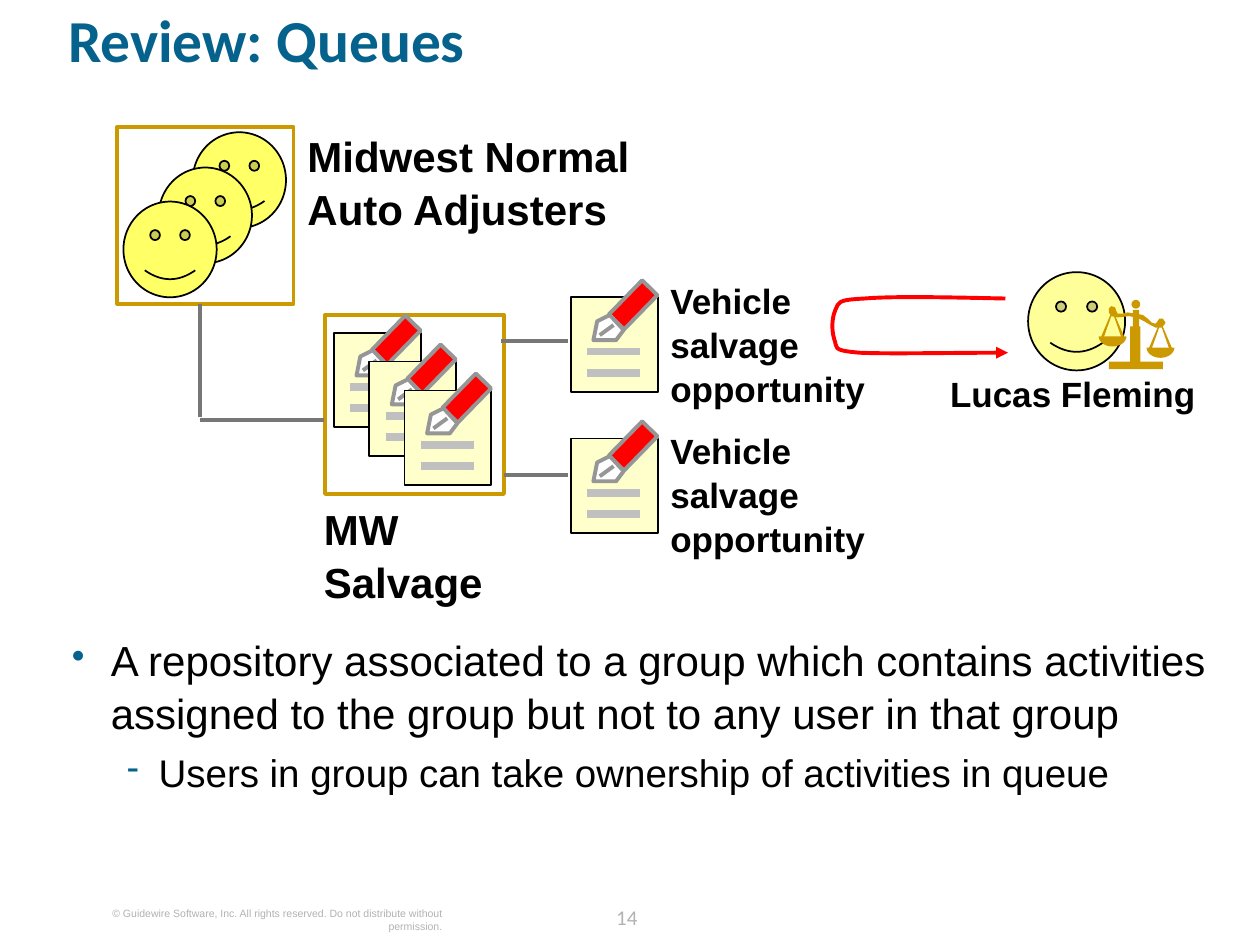
import math

from lxml import etree
from pptx import Presentation
from pptx import util as u
from pptx.dml.color import RGBColor
from pptx.enum import shapes, text
from pptx.oxml import ns

Inches = u.Inches
KIND = shapes.MSO_SHAPE
COLORS = {
    "title": "04628C", "black": "000000", "footer": "B2B2B2",
    "face": "FFFF66", "light_face": "FFFF99", "gold": "CC9900",
    "note": "FFFFCC", "writing": "C0C0C0", "pen": "FF0000",
    "pen_edge": "969696", "white": "FFFFFF", "link": "777777",
}
BEAM = [
    (9.25, 2.56), (9.23, 2.53), (9.2, 2.53), (9.18, 2.56), (9.17, 2.57),
    (9.14, 2.56), (9.11, 2.53), (9.07, 2.5), (9.01, 2.49), (8.95, 2.48),
    (8.91, 2.49), (8.87, 2.49), (8.86, 2.47), (8.85, 2.44), (8.82, 2.43),
    (8.8, 2.45), (8.8, 2.48), (8.82, 2.51), (8.87, 2.52), (8.96, 2.51),
    (9.02, 2.52), (9.08, 2.55), (9.13, 2.58), (9.17, 2.6), (9.22, 2.6),
    (9.24, 2.58),
]
# Start point, then three Bezier points per curve
LOOP = [
    (7.98, 2.37), (7.53, 2.36), (7.09, 2.35), (6.86, 2.37),
    (6.64, 2.38), (6.66, 2.4), (6.63, 2.46), (6.6, 2.53), (6.6, 2.62),
    (6.62, 2.69), (6.65, 2.76), (6.59, 2.78), (6.82, 2.8),
    (7.05, 2.81), (7.52, 2.8), (8, 2.8),
]


def color(name):
    return RGBColor.from_string(COLORS[name])


def paint(shape, fill=None, line=None, weight=1):
    shape.shadow.inherit = False
    shape.fill.background()
    shape.line.fill.background()
    if fill:
        shape.fill.solid()
        shape.fill.fore_color.rgb = color(fill)
    if line:
        shape.line.color.rgb = color(line)
        shape.line.width = u.Pt(weight)
    return shape


def add_preset(page, kind, *place, **style):
    return paint(page.shapes.add_shape(kind, *map(Inches, place)), **style)


def add_outline(page, points, close=True, **style):
    start, *rest = [(Inches(x), Inches(y)) for x, y in points]
    builder = page.shapes.build_freeform(*start)
    builder.add_line_segments(rest, close=close)
    return paint(builder.convert_to_shape(), **style)


def add_line(page, *ends, ink="link", weight=2.25):
    line = page.shapes.add_connector(
        shapes.MSO_CONNECTOR.STRAIGHT, *map(Inches, ends))
    line.line.color.rgb = color(ink)
    line.line.width = u.Pt(weight)
    etree.SubElement(line._element.spPr, ns.qn("a:effectLst"))


def add_box(page, *place):
    frame = page.shapes.add_textbox(*map(Inches, place)).text_frame
    frame.word_wrap = True
    frame.margin_left = frame.margin_right = 0
    frame.margin_top = frame.margin_bottom = 0
    return frame


def write(para, words, size=24, font="Arial", ink="black", bold=False,
          align=None, spacing=1.05, before=0):
    para.text = words
    para.alignment = align
    para.line_spacing = spacing
    para.space_before = u.Pt(before)
    for span in para.runs:
        span.font.size = u.Pt(size)
        span.font.name = font
        span.font.bold = bold
        span.font.color.rgb = color(ink)


def add_label(page, place, words, **style):
    write(add_box(page, *place).paragraphs[0], words, **style)


def add_bullet(para, mark, margin, hang, level=0):
    para.level = level
    props = para._p.get_or_add_pPr()
    props.set("marL", str(Inches(margin)))
    props.set("indent", str(-Inches(hang)))
    tint = etree.SubElement(props, ns.qn("a:buClr"))
    etree.SubElement(tint, ns.qn("a:srgbClr"), val=COLORS["title"])
    etree.SubElement(props, ns.qn("a:buSzPct"), val="90000")
    etree.SubElement(props, ns.qn("a:buChar"), char=mark)


def add_face(page, *place, fill):
    face = add_preset(page, KIND.SMILEY_FACE, *place, fill=fill, line="black")
    face.adjustments[0] = 0.047


def add_note(page, left, top):
    """Sheet with two lines of writing and a pen."""
    edge = {"line": "pen_edge", "weight": 2.25}
    add_preset(page, KIND.RECTANGLE, left, top, 0.69, 0.75,
               fill="note", line="black")
    for y in (top + 0.6, top + 0.43):
        add_line(page, left + 0.13, y, left + 0.55, y, ink="writing", weight=4.5)
    pen = add_preset(page, KIND.RECTANGLE, left + 0.41, top - 0.13, 0.17, 0.38,
                     fill="pen", **edge)
    pen.rotation = 44.3
    nib = [(0.31, 0.14), (0.21, 0.19), (0.18, 0.34), (0.36, 0.34), (0.42, 0.26)]
    add_outline(page, [(left + x, top + y) for x, y in nib], fill="white", **edge)
    add_line(page, left + 0.34, top + 0.22, left + 0.23, top + 0.3, ink="pen_edge")


def add_pan(page, middle, top):
    """Bowl of the scales with its two strings."""
    angles = [math.pi * step / 16 for step in range(17)]
    add_outline(page, [(middle + 0.11 * math.cos(a), top + 0.08 * math.sin(a))
                       for a in angles], fill="gold")
    string = [(0.07, 0.01), (0, -0.19), (0.01, -0.19), (0.09, 0)]
    for side in (-1, 1):
        add_outline(page, [(middle + side * x, top + y) for x, y in string],
                    fill="gold")


def add_scales(page):
    add_outline(page, BEAM, fill="gold")
    add_pan(page, 8.83, 2.67)
    add_pan(page, 9.21, 2.76)
    for place in ((8.99, 2.46, 0.05, 0.18), (8.97, 2.59, 0.08, 0.29),
                  (8.8, 2.87, 0.43, 0.06)):
        add_preset(page, KIND.RECTANGLE, *place, fill="gold")
    add_preset(page, KIND.OVAL, 8.98, 2.38, 0.07, 0.07, fill="gold")


def add_loop_arrow(page):
    loop = add_outline(page, LOOP, close=False, line="pen", weight=2.25)
    segments = list(loop._element.iter(ns.qn("a:lnTo")))
    # Join each three straight segments into one curve
    for first in range(0, len(segments), 3):
        curve = etree.Element(ns.qn("a:cubicBezTo"))
        segments[first].addprevious(curve)
        for segment in segments[first:first + 3]:
            curve.append(segment[0])
            segment.getparent().remove(segment)
    edge = loop._element.spPr.find(ns.qn("a:ln"))
    etree.SubElement(edge, ns.qn("a:tailEnd"), type="triangle")


def main():
    deck = Presentation()
    deck.slide_width, deck.slide_height = Inches(10), Inches(7.5)
    page = deck.slides.add_slide(deck.slide_layouts[6])
    # Footer and title
    add_label(page, (4.69, 7.13, 0.57, 0.25), "14", size=12, font="Calibri",
              ink="footer", align=text.PP_ALIGN.CENTER, spacing=u.Pt(18))
    add_label(page, (0.61, 7.19, 2.9, 0.2),
              "© Guidewire Software, Inc. All rights reserved. "
              "Do not distribute without permission.",
              size=6, ink="footer", align=text.PP_ALIGN.RIGHT)
    add_label(page, (0.54, 0.13, 9.1, 0.81), "Review: Queues", size=34,
              font="Calibri", ink="title", bold=True, spacing=0.8)
    # Bullets
    body = add_box(page, 0.57, 5.02, 9.1, 1.97)
    add_bullet(body.paragraphs[0], "•", 0.31, 0.31)
    write(body.paragraphs[0], "A repository associated to a group which contains "
          "activities assigned to the group but not to any user in that group")
    para = body.add_paragraph()
    add_bullet(para, "-", 0.69, 0.25, level=1)
    write(para, "Users in group can take ownership of activities in queue",
          size=22, before=5)
    # Group of adjusters, then its queue
    for x, y in ((1.53, 1.05), (1.26, 1.33), (0.98, 1.6)):
        add_face(page, x, y, 0.74, 0.76, fill="face")
    for place in ((0.93, 1.01, 1.4, 1.4), (2.58, 2.5, 1.42, 1.42)):
        add_preset(page, KIND.RECTANGLE, *place, line="gold", weight=2.25)
    for step in range(3):
        add_note(page, 2.65 + 0.28 * step, 2.64 + 0.23 * step)
    add_label(page, (2.44, 1.02, 3.19, 0.8), "Midwest Normal\vAuto Adjusters",
              bold=True)
    add_label(page, (2.57, 3.98, 1.31, 0.8), "MW Salvage", bold=True)
    # Links
    for ends in ((1.59, 2.41, 1.59, 3.31), (1.59, 3.33, 2.57, 3.33),
                 (4.51, 2.71, 3.98, 2.71), (4.51, 3.77, 4, 3.77)):
        add_line(page, *ends)
    # Single activities
    for note_top, label_top in ((2.36, 2.2), (3.48, 3.39)):
        add_note(page, 4.53, note_top)
        add_label(page, (5.32, label_top, 1.68, 1), "Vehicle salvage opportunity",
                  size=20, bold=True)
    # User who takes an activity
    add_label(page, (7.54, 2.94, 2.13, 0.33), "Lucas Fleming", size=20, bold=True)
    add_face(page, 8.16, 2.16, 0.77, 0.78, fill="light_face")
    add_scales(page)
    add_loop_arrow(page)
    deck.save("out.pptx")


if __name__ == "__main__":
    main()
